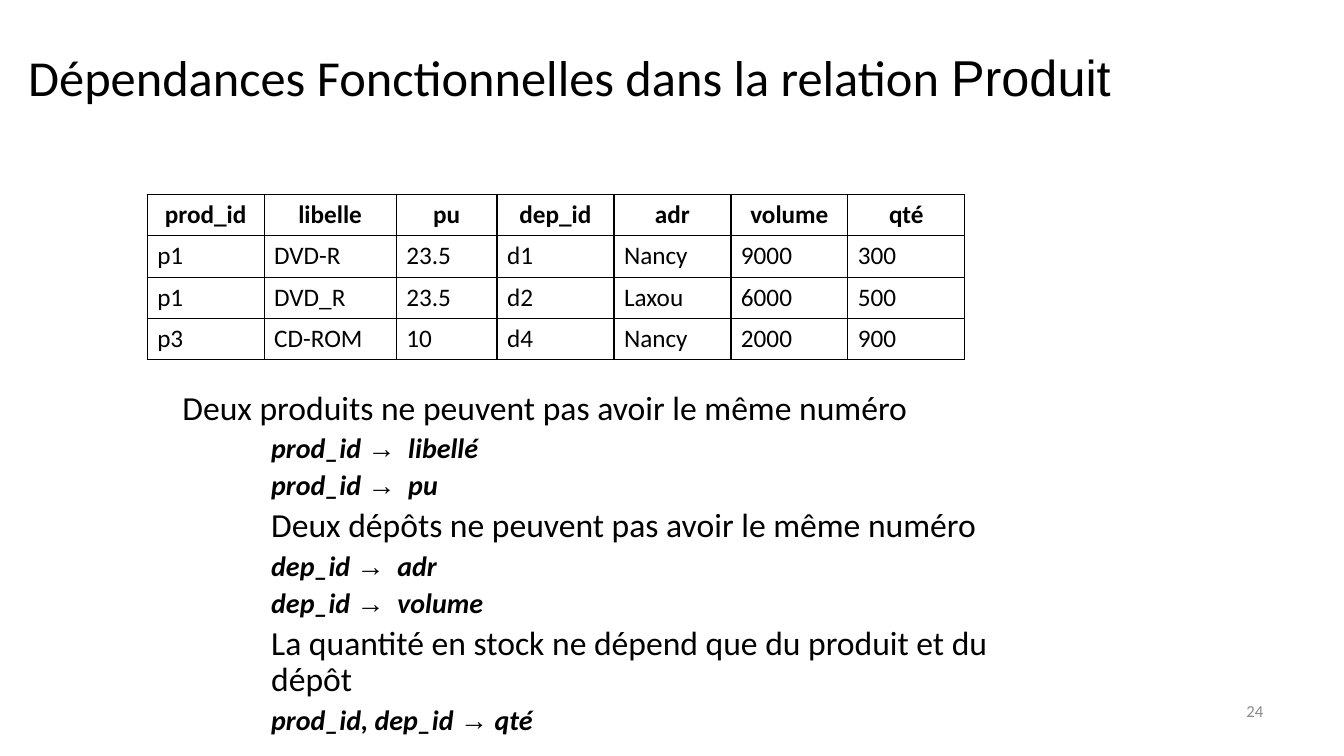
from dataclasses import dataclass

from lxml.etree import SubElement
from pptx import Presentation
from pptx.dml.color import RGBColor
from pptx.enum.text import MSO_ANCHOR, MSO_AUTO_SIZE, PP_ALIGN
from pptx.oxml.ns import qn
from pptx.util import Inches, Pt


@dataclass(frozen=True)
class Theme:
    font: str = "Calibri"
    symbol_font: str = "Arial"
    ink: str = "000000"
    muted: str = "8B8B8B"
    title_size: int = 36
    statement_size: int = 24
    dependency_size: int = 20
    table_size: int = 18
    number_size: int = 12
    border_width: float = 0.96
    line_spacing: float = 0.9
    space_before: int = 5


@dataclass(frozen=True)
class Box:
    left: float
    top: float
    width: float
    height: float


@dataclass(frozen=True)
class Rule:
    statement: str
    dependencies: tuple[tuple[str, str], ...]


THEME = Theme()
TITLE_BOX = Box(0.18, 0.37, 12.2, 0.85)
RULES_BOX = Box(1.71, 3.83, 8.26, 3.14)
NUMBER_BOX = Box(8.13, 6.85, 4.5, 0.4)
TABLE_LEFT, TABLE_TOP, ROW_HEIGHT = 1.46, 1.93, 0.41
COLUMN_WIDTHS = (1.16, 1.31, 1, 1.16, 1.16, 1.16, 1.16)
RULE_INDENT = 0.88

PRODUCTS = (
    ("prod_id", "libelle", "pu", "dep_id", "adr", "volume", "qté"),
    ("p1", "DVD-R", "23.5", "d1", "Nancy", "9000", "300"),
    ("p1", "DVD_R", "23.5", "d2", "Laxou", "6000", "500"),
    ("p3", "CD-ROM", "10", "d4", "Nancy", "2000", "900"),
)

RULES = (
    Rule("Deux produits ne peuvent pas avoir le même numéro",
         (("prod_id ", "  libellé"), ("prod_id ", "  pu"))),
    Rule("Deux dépôts ne peuvent pas avoir le même numéro",
         (("dep_id ", "  adr"), ("dep_id ", "  volume"))),
    Rule("La quantité en stock ne dépend que du produit et du dépôt",
         (("prod_id, dep_id ", " qté"),)),
)


def place(shape, box: Box) -> None:
    shape.left, shape.top = Inches(box.left), Inches(box.top)
    shape.width, shape.height = Inches(box.width), Inches(box.height)
    shape.text_frame.word_wrap = True
    shape.text_frame.auto_size = MSO_AUTO_SIZE.NONE


def add_text(paragraph, text: str, size: int, font: str = THEME.font,
             color: str = THEME.ink, bold: bool = False, italic: bool = False) -> None:
    run = paragraph.add_run()
    run.text = text
    run.font.name = font
    run.font.size = Pt(size)
    run.font.bold = bold
    run.font.italic = italic
    run.font.color.rgb = RGBColor.from_string(color)


def add_title(slide) -> None:
    title = slide.shapes.title
    place(title, TITLE_BOX)
    title.text_frame.vertical_anchor = MSO_ANCHOR.MIDDLE
    paragraph = title.text_frame.paragraphs[0]
    paragraph.alignment = PP_ALIGN.LEFT
    paragraph.line_spacing = THEME.line_spacing
    add_text(paragraph, "Dépendances Fonctionnelles dans la relation ", THEME.title_size)
    add_text(paragraph, "Produit", THEME.title_size, THEME.symbol_font)


def draw_borders(cell) -> None:
    properties = cell._tc.get_or_add_tcPr()
    for position, side in enumerate(("lnL", "lnR", "lnT", "lnB")):
        line = properties.makeelement(qn(f"a:{side}"), {"w": str(Pt(THEME.border_width))})
        fill = SubElement(line, qn("a:solidFill"))
        SubElement(fill, qn("a:srgbClr"), val=THEME.ink)
        properties.insert(position, line)


def add_product_table(slide) -> None:
    table = slide.shapes.add_table(
        len(PRODUCTS), len(COLUMN_WIDTHS), Inches(TABLE_LEFT), Inches(TABLE_TOP),
        Inches(sum(COLUMN_WIDTHS)), Inches(ROW_HEIGHT * len(PRODUCTS))).table
    table.horz_banding = False
    for column, width in zip(table.columns, COLUMN_WIDTHS):
        column.width = Inches(width)
    for row_index, values in enumerate(PRODUCTS):
        table.rows[row_index].height = Inches(ROW_HEIGHT)
        is_header = row_index == 0
        for column_index, value in enumerate(values):
            cell = table.cell(row_index, column_index)
            cell.fill.background()
            draw_borders(cell)
            paragraph = cell.text_frame.paragraphs[0]
            paragraph.alignment = PP_ALIGN.CENTER if is_header else PP_ALIGN.LEFT
            add_text(paragraph, value, THEME.table_size, bold=is_header)


def add_rule_paragraph(text_frame, is_first: bool):
    paragraph = text_frame.paragraphs[0] if is_first else text_frame.add_paragraph()
    properties = paragraph._p.get_or_add_pPr()
    properties.set("marL", str(0 if is_first else Inches(RULE_INDENT)))
    properties.set("indent", "0")
    SubElement(properties, qn("a:buNone"))
    paragraph.line_spacing = THEME.line_spacing
    paragraph.space_before = Pt(0 if is_first else THEME.space_before)
    return paragraph


def add_rules(slide) -> None:
    body = slide.placeholders[1]
    place(body, RULES_BOX)
    for index, rule in enumerate(RULES):
        paragraph = add_rule_paragraph(body.text_frame, index == 0)
        add_text(paragraph, rule.statement, THEME.statement_size)
        for source, target in rule.dependencies:
            paragraph = add_rule_paragraph(body.text_frame, False)
            for text, font in ((source, THEME.font), ("→", THEME.symbol_font),
                               (target, THEME.font)):
                add_text(paragraph, text, THEME.dependency_size, font,
                         bold=True, italic=True)


def add_slide_number(slide) -> None:
    number = slide.shapes.add_textbox(0, 0, 0, 0)
    place(number, NUMBER_BOX)
    number.text_frame.vertical_anchor = MSO_ANCHOR.MIDDLE
    paragraph = number.text_frame.paragraphs[0]
    paragraph.alignment = PP_ALIGN.RIGHT
    add_text(paragraph, "24", THEME.number_size, color=THEME.muted)


def main() -> None:
    presentation = Presentation()
    presentation.slide_width = Inches(13.33)
    presentation.slide_height = Inches(7.5)
    slide = presentation.slides.add_slide(presentation.slide_layouts[1])
    add_title(slide)
    add_rules(slide)
    add_slide_number(slide)
    add_product_table(slide)
    presentation.save("out.pptx")


if __name__ == "__main__":
    main()
